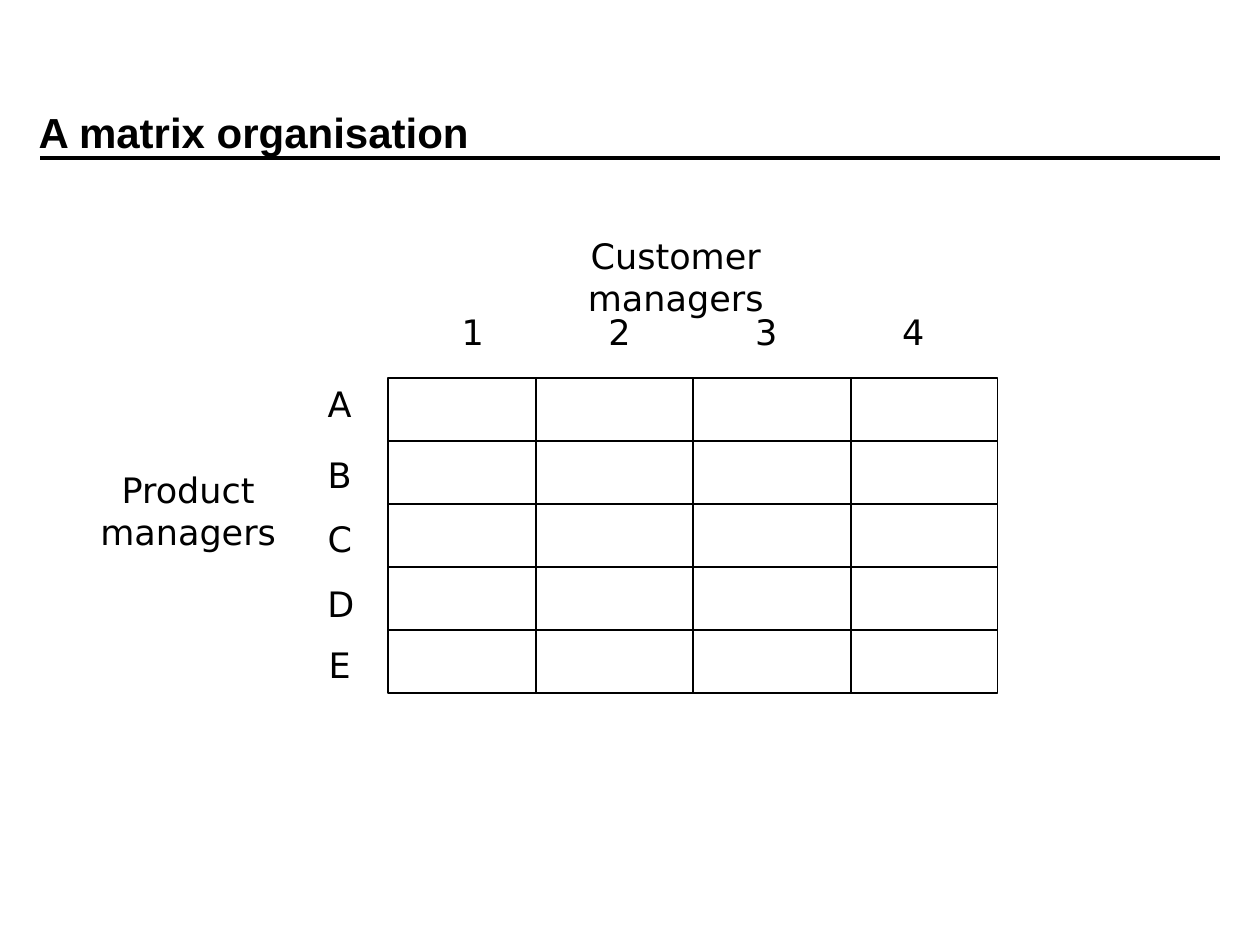
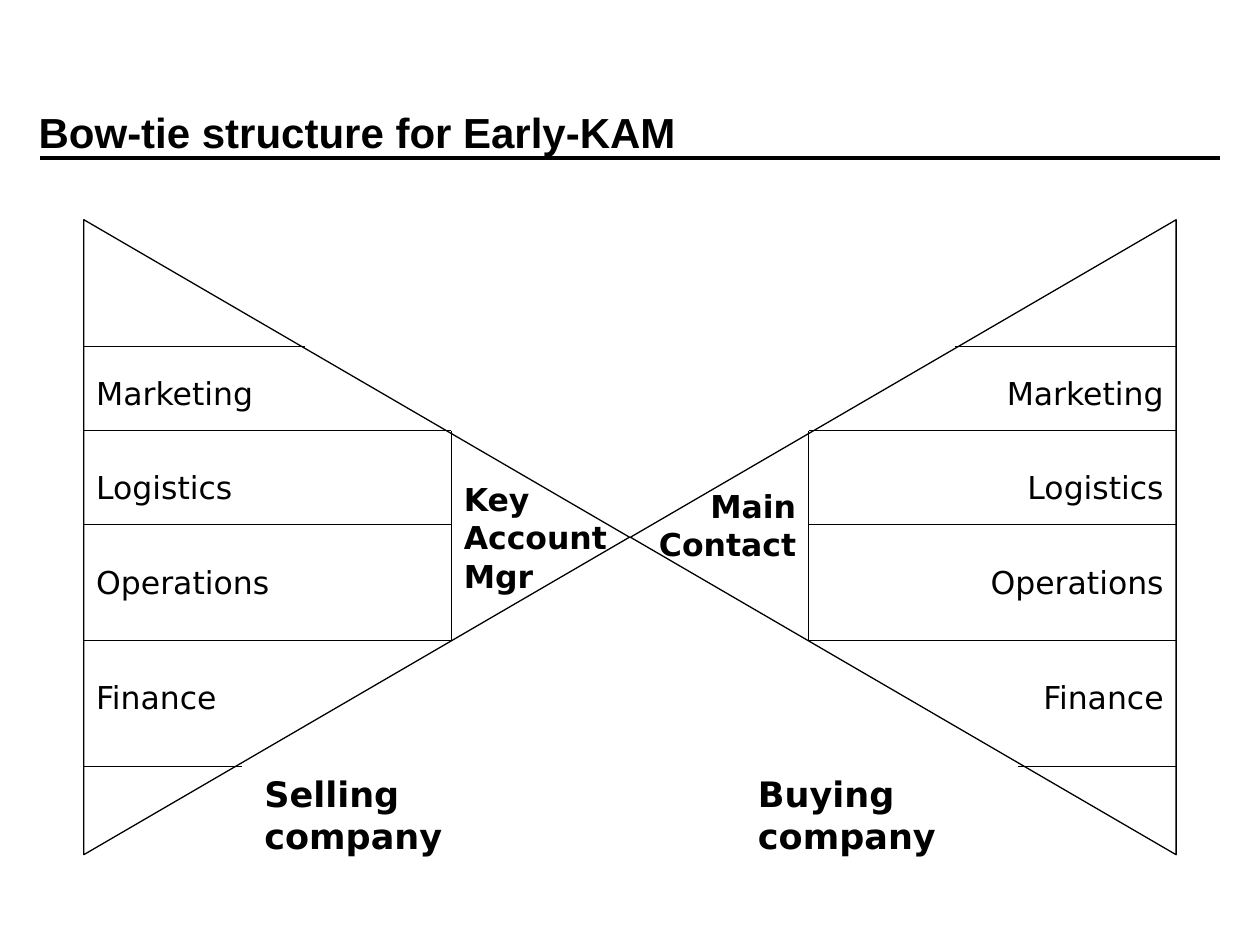
from dataclasses import dataclass

from lxml.etree import SubElement
from pptx import Presentation
from pptx.dml.color import RGBColor
from pptx.enum.shapes import MSO_CONNECTOR as Connector, MSO_SHAPE as Shape
from pptx.enum.text import MSO_ANCHOR as Anchor, PP_ALIGN as Align
from pptx.oxml.ns import qn
from pptx.util import Cm, Pt


@dataclass(frozen=True)
class Theme:
    ink: RGBColor = RGBColor(0, 0, 0)
    title_font: str = "Arial"
    body_font: str = "DejaVu Sans"
    title_size: int = 24
    label_size: int = 20
    function_size: int = 18
    rule_width: float = 2
    grid_width: float = 1
    bow_width: float = 0.75


THEME = Theme()
PAGE_WIDTH, PAGE_HEIGHT = 25.4, 19.05


def add_line(page, start, end, width):
    line = page.shapes.add_connector(
        Connector.STRAIGHT, *(Cm(value) for value in (*start, *end)))
    line.line.color.rgb = THEME.ink
    line.line.width = Pt(width)
    SubElement(line._element.spPr, qn("a:effectLst"))


def add_outline(page, kind, box, width):
    """Add an unfilled preset shape; box is left, top, width, height."""
    shape = page.shapes.add_shape(kind, *(Cm(value) for value in box))
    shape.shadow.inherit = False
    shape.fill.background()
    shape.line.color.rgb = THEME.ink
    shape.line.width = Pt(width)
    return shape


def add_text(page, box, *lines, size=THEME.label_size, font=THEME.body_font,
             bold=False, align=Align.LEFT, anchor=Anchor.TOP, wrap=True):
    """Add a text box with one paragraph per line and return its paragraphs."""
    frame = page.shapes.add_textbox(*(Cm(value) for value in box)).text_frame
    frame.word_wrap = wrap
    frame.vertical_anchor = anchor
    frame.text = "\n".join(lines)
    for para in frame.paragraphs:
        para.alignment = align
        para.font.name = font
        para.font.size = Pt(size)
        para.font.bold = bold
        para.font.color.rgb = THEME.ink
    return frame.paragraphs


def add_page(deck, title):
    page = deck.slides.add_slide(deck.slide_layouts[6])
    add_line(page, (0.81, 3.18), (PAGE_WIDTH - 0.81, 3.18), THEME.rule_width)
    add_text(page, (0.53, 1.07, 21.59, 3.18), title, size=THEME.title_size,
             font=THEME.title_font, bold=True, anchor=Anchor.MIDDLE)
    return page


def add_matrix(page):
    left, right, top, row_height, row_count = 7.83, 20.11, 7.62, 1.27, 5
    bottom = top + row_count * row_height
    add_outline(page, Shape.RECTANGLE, (left, top, right - left, bottom - top),
                THEME.grid_width)
    for x in (10.8, 13.97, 17.15):
        add_line(page, (x, top), (x, bottom), THEME.grid_width)
    for row in range(1, row_count):
        y = top + row * row_height
        add_line(page, (left, y), (right, y), THEME.grid_width)


def add_matrix_labels(page):
    add_text(page, (1.47, 9.32, 4.65, 1.96), "Product", "managers",
             align=Align.CENTER)
    add_text(page, (9.98, 4.6, 7.29, 1.12), "Customer managers",
             align=Align.CENTER)
    width, height = 1, 1.12
    spots = [(number, 9.03 + 2.96 * index, 6.13)
             for index, number in enumerate("1234")]
    spots += [(letter, 6.35, top)
              for letter, top in zip("ABCDE", (7.59, 9.02, 10.31, 11.61, 12.85))]
    for label, left, top in spots:
        add_text(page, (left, top, width, height), label,
                 align=Align.CENTER, wrap=False)


def add_bow_half(page, mirrored):
    """Draw one company's triangle, divided into its functions."""
    outer, inner, bow = 1.69, 9.1, THEME.bow_width

    def across(x, width=0):
        return PAGE_WIDTH - x - width if mirrored else x

    base, depth = 12.8, 11
    triangle = add_outline(page, Shape.ISOSCELES_TRIANGLE,
                           (across(0.79, base), 5.33, base, depth), bow)
    triangle.rotation = 270 if mirrored else 90

    for y, end in ((6.99, 6.14), (8.68, inner), (10.58, inner),
                   (12.91, inner), (15.45, 4.87)):
        add_line(page, (across(outer), y), (across(end), y), bow)
    add_line(page, (across(inner), 8.68), (across(inner), 12.91), bow)

    align = Align.RIGHT if mirrored else Align.LEFT
    for name, top, width in (("Marketing", 7.41, 5.08), ("Logistics", 9.31, 4.66),
                             ("Operations", 11.22, 5.5), ("Finance", 13.55, 3.18)):
        add_text(page, (across(outer, width), top, width, 1.02), name,
                 size=THEME.function_size, align=align)


def add_bow_labels(page):
    manager = add_text(page, (9.1, 9.88, 3.81, 2.21), "Key", "Account", "Mgr",
                       size=THEME.function_size, bold=True)
    for para in manager:
        para.line_spacing = 0.5
        para.space_before = Pt(11.2)
    add_text(page, (12.91, 9.7, 3.39, 1.78), "Main Contact",
             size=THEME.function_size, bold=True, align=Align.RIGHT)
    add_text(page, (5.08, 15.45, 6.35, 1.12), "Selling company", bold=True)
    add_text(page, (15.03, 15.45, 6.99, 1.12), "Buying company", bold=True)


def main():
    deck = Presentation()
    deck.slide_width, deck.slide_height = Cm(PAGE_WIDTH), Cm(PAGE_HEIGHT)

    matrix_page = add_page(deck, "A matrix organisation")
    add_matrix(matrix_page)
    add_matrix_labels(matrix_page)

    bow_page = add_page(deck, "Bow-tie structure for Early-KAM")
    for mirrored in (False, True):
        add_bow_half(bow_page, mirrored)
    add_bow_labels(bow_page)

    deck.save("out.pptx")


if __name__ == "__main__":
    main()
